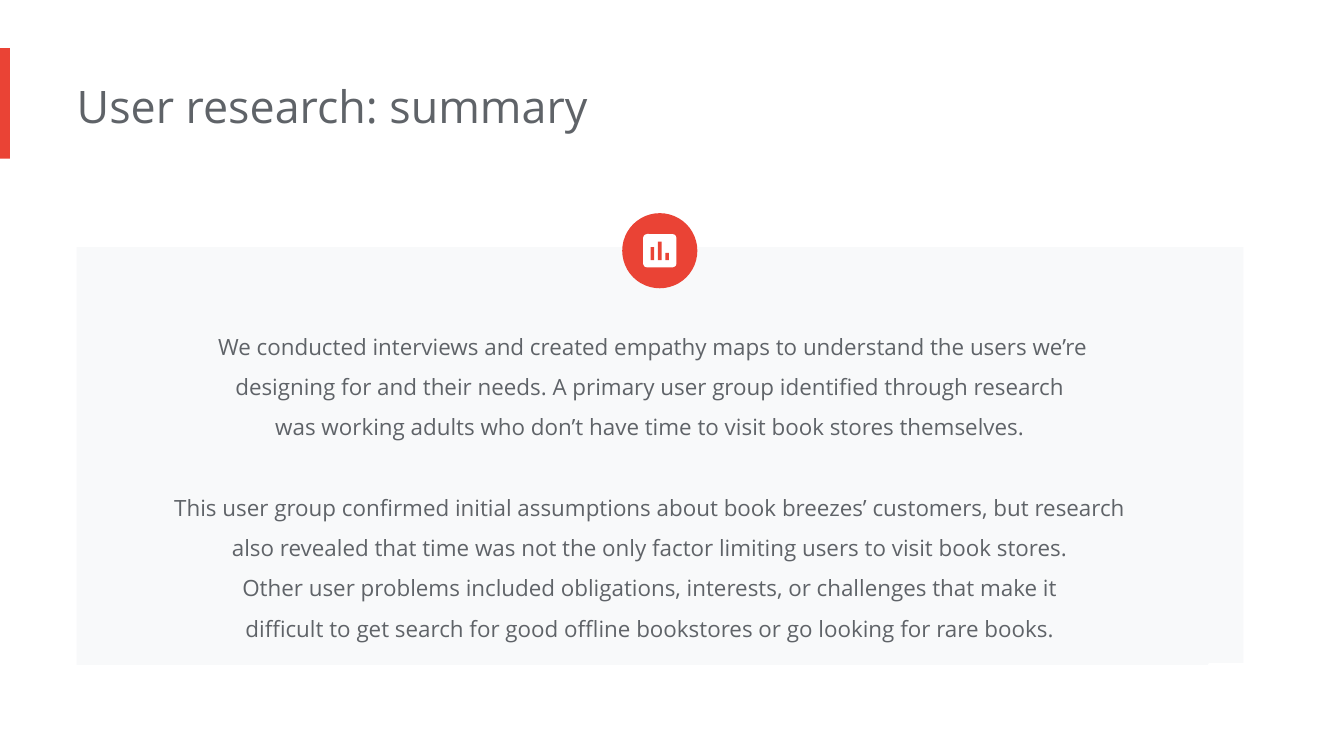
import pptx
import pptx.util
import pptx.dml.color
import pptx.enum.shapes
import pptx.enum.text

Cm = pptx.util.Cm
Pt = pptx.util.Pt
SHAPE = pptx.enum.shapes.MSO_SHAPE
ALIGN = pptx.enum.text.PP_ALIGN

COLORS = {"red": "EA4335", "panel": "F8F9FA", "text": "5F6368", "white": "FFFFFF"}
FONT = "Open Sans"

TITLE = "User research: summary"
# Each paragraph is a list of lines with fixed breaks.
SUMMARY = [
    ["We conducted interviews and created empathy maps to understand the users we’re",
     "designing for and their needs. A primary user group identified through research ",
     "was working adults who don’t have time to visit book stores themselves. "],
    ["This user group confirmed initial assumptions about book breezes’ customers, but research ",
     "also revealed that time was not the only factor limiting users to visit book stores. ",
     "Other user problems included obligations, interests, or challenges that make it ",
     "difficult to get search for good offline bookstores or go looking for rare books. "],
]

# Left, top, width, height in cm
ACCENT = (0, 0.91, 0.19, 2.09)
PANEL = (1.45, 4.67, 22.05, 7.9)
TITLE_BOX = (1.45, 1.24, 17.09, 1.55)
SUMMARY_BOX = (2.21, 5.79, 20.52, 6.68)
CORNER = (22.86, 12.57, 2.21, 1.63)

ICON_CENTER = (12.47, 4.74)
BADGE_SIZE, TILE_SIZE = 1.42, 0.63
BAR_WIDTH, BAR_STEP, BAR_DROP = 0.07, 0.14, 0.18
BAR_HEIGHTS = [0.25, 0.35, 0.14]


def rgb(name):
    return pptx.dml.color.RGBColor.from_string(COLORS[name])


def add_shape(slide, kind, box, color):
    sp = slide.shapes.add_shape(kind, *map(Cm, box))
    sp.shadow.inherit = False
    sp.fill.solid()
    sp.fill.fore_color.rgb = rgb(color)
    sp.line.fill.background()
    return sp


def set_text(sp, paragraphs, size, align, line_spacing=1.0, gap=0):
    tf = sp.text_frame
    tf.word_wrap = True
    tf.auto_size = pptx.enum.text.MSO_AUTO_SIZE.SHAPE_TO_FIT_TEXT
    tf.vertical_anchor = pptx.enum.text.MSO_ANCHOR.TOP
    tf.margin_left = 0
    tf.margin_top = tf.margin_right = tf.margin_bottom = Cm(0.25)
    for i, lines in enumerate(paragraphs):
        p = tf.add_paragraph() if i else tf.paragraphs[0]
        p.text = "\v".join(lines)
        p.alignment = align
        p.line_spacing = line_spacing
        p.space_before = Pt(gap if i else 0)
        p.font.name = FONT
        p.font.size = Pt(size)
        p.font.color.rgb = rgb("text")


def centered(size):
    x, y = ICON_CENTER
    return x - size / 2, y - size / 2, size, size


def add_chart_icon(slide):
    add_shape(slide, SHAPE.OVAL, centered(BADGE_SIZE), "red")
    tile = add_shape(slide, SHAPE.ROUNDED_RECTANGLE, centered(TILE_SIZE), "white")
    tile.adjustments[0] = 0.12
    x, y = ICON_CENTER
    for i, height in enumerate(BAR_HEIGHTS):
        left = x + (i - 1) * BAR_STEP - BAR_WIDTH / 2
        add_shape(slide, SHAPE.RECTANGLE,
                  (left, y + BAR_DROP - height, BAR_WIDTH, height), "red")


def main():
    prs = pptx.Presentation()
    prs.slide_width, prs.slide_height = Cm(25.4), Cm(14.29)
    slide = prs.slides.add_slide(prs.slide_layouts[5])

    add_shape(slide, SHAPE.RECTANGLE, ACCENT, "red")
    add_shape(slide, SHAPE.RECTANGLE, PANEL, "panel")

    title = slide.shapes.title
    title.left, title.top, title.width, title.height = map(Cm, TITLE_BOX)
    set_text(title, [[TITLE]], 24, ALIGN.LEFT)

    summary = slide.shapes.add_textbox(*map(Cm, SUMMARY_BOX))
    set_text(summary, SUMMARY, 12, ALIGN.CENTER, line_spacing=1.5, gap=21.5)

    add_chart_icon(slide)

    corner = add_shape(slide, SHAPE.RECTANGLE, CORNER, "white")
    corner.line.color.rgb = rgb("white")
    corner.line.width = Pt(2)

    prs.save("out.pptx")


if __name__ == "__main__":
    main()
